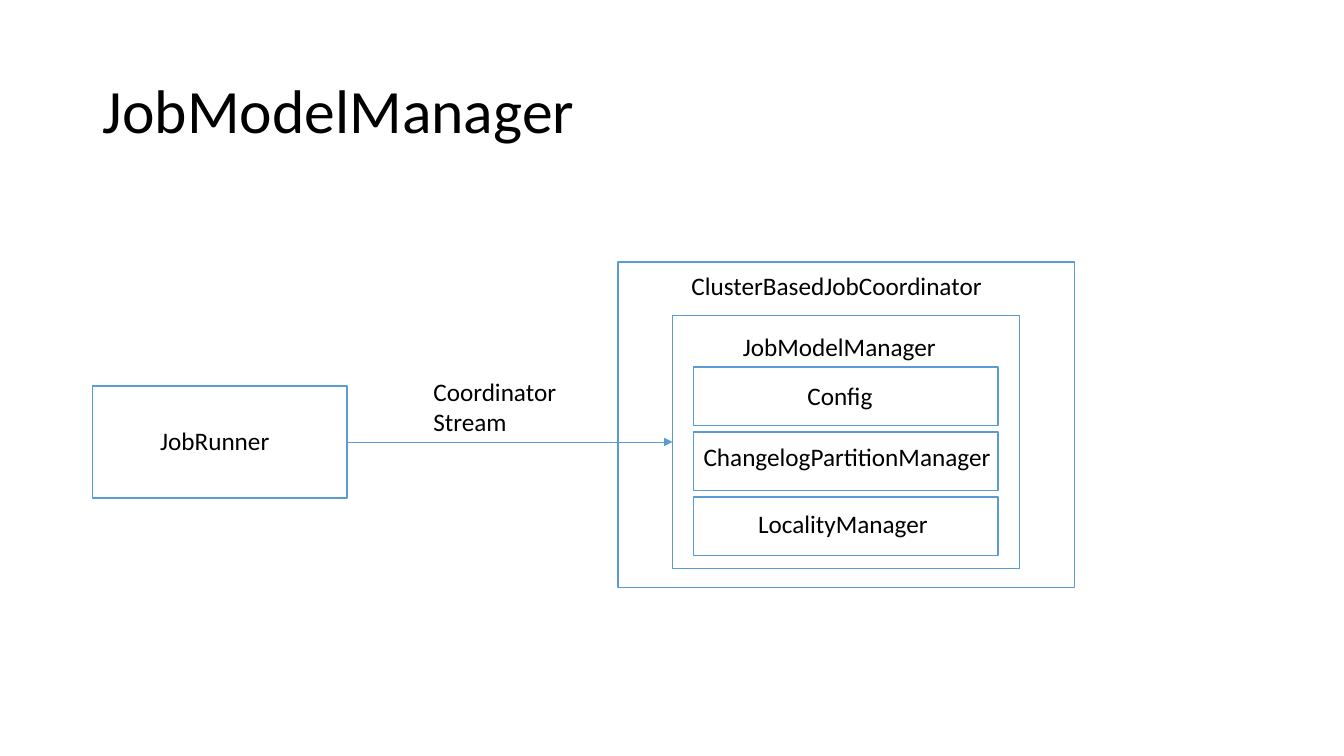
from lxml import etree
from pptx import Presentation
from pptx.dml.color import RGBColor
from pptx.enum.shapes import MSO_CONNECTOR, MSO_SHAPE
from pptx.enum.text import MSO_ANCHOR, PP_ALIGN
from pptx.oxml.ns import qn
from pptx.util import Inches, Pt

BLUE, WHITE, BLACK = "5B9BD5", "FFFFFF", "000000"


def color(code):
    return RGBColor.from_string(code)


def style(para, size):
    for run in para.runs:
        run.font.name = "Calibri"
        run.font.size = Pt(size)
        run.font.color.rgb = color(BLACK)


def add_box(slide, left, top, width, height):
    box = slide.shapes.add_shape(
        MSO_SHAPE.RECTANGLE, Inches(left), Inches(top), Inches(width), Inches(height))
    box.shadow.inherit = False
    box.fill.solid()
    box.fill.fore_color.rgb = color(WHITE)
    box.line.color.rgb = color(BLUE)
    box.line.width = Pt(1)
    return box


def add_label(slide, text, left, top, width, height=0.4):
    label = slide.shapes.add_textbox(
        Inches(left), Inches(top), Inches(width), Inches(height))
    frame = label.text_frame
    frame.word_wrap = True
    frame.text = text
    style(frame.paragraphs[0], 18)


def add_title(slide, text, left, top, width, height):
    title = slide.shapes.title
    title.left, title.top = Inches(left), Inches(top)
    title.width, title.height = Inches(width), Inches(height)
    frame = title.text_frame
    frame.text = text
    frame.vertical_anchor = MSO_ANCHOR.MIDDLE
    para = frame.paragraphs[0]
    para.alignment = PP_ALIGN.LEFT
    para.line_spacing = 0.9
    style(para, 44)


def add_runner(slide, left, top, width, height):
    box = add_box(slide, left, top, width, height)
    add_label(slide, "JobRunner", left + 0.57, top + 0.34, 1.76)
    return box


def add_manager(slide, left, top, width, height):
    box = add_box(slide, left, top, width, height)
    add_label(slide, "JobModelManager", left + 0.6, top + 0.11, 2.57)
    # Stacked parts: name, label offset from the part's left and top, label width
    parts = [("Config", 1.03, 0.08, 2.1),
             ("ChangelogPartitionManager", 0, 0.04, 3.23),
             ("LocalityManager", 0.54, 0.06, 3.23)]
    x = left + 0.21
    for i, (name, dx, dy, span) in enumerate(parts):
        y = top + 0.51 + i * 0.645
        add_box(slide, x, y, width - 0.42, 0.58)
        add_label(slide, name, x + dx, y + dy, span)
    return box


def add_cluster(slide, left, top, width, height):
    add_box(slide, left, top, width, height)
    add_label(slide, "ClusterBasedJobCoordinator", left + 0.63, top + 0.03, 3.35)
    return add_manager(slide, left + 0.54, top + 0.53, 3.44, 2.51)


def add_stream(slide, start, end):
    line = slide.shapes.add_connector(MSO_CONNECTOR.STRAIGHT, 0, 0, 0, 0)
    line.begin_connect(start, 3)
    line.end_connect(end, 1)
    line.line.color.rgb = color(BLUE)
    line.line.width = Pt(0.5)
    # Arrowhead and no shadow
    props = line.line._get_or_add_ln()
    etree.SubElement(props, qn("a:tailEnd"), type="triangle")
    etree.SubElement(line._element.spPr, qn("a:effectLst"))
    add_label(slide, "Coordinator Stream", 4.2, 3.68, 1.86, 0.71)


def main():
    deck = Presentation()
    deck.slide_width, deck.slide_height = Inches(13.33), Inches(7.5)
    slide = deck.slides.add_slide(deck.slide_layouts[5])
    add_title(slide, "JobModelManager", 0.92, 0.4, 11.5, 1.45)
    manager = add_cluster(slide, 6.13, 2.6, 4.53, 3.23)
    runner = add_runner(slide, 0.92, 3.83, 2.52, 1.11)
    add_stream(slide, runner, manager)
    deck.save("out.pptx")


if __name__ == "__main__":
    main()
